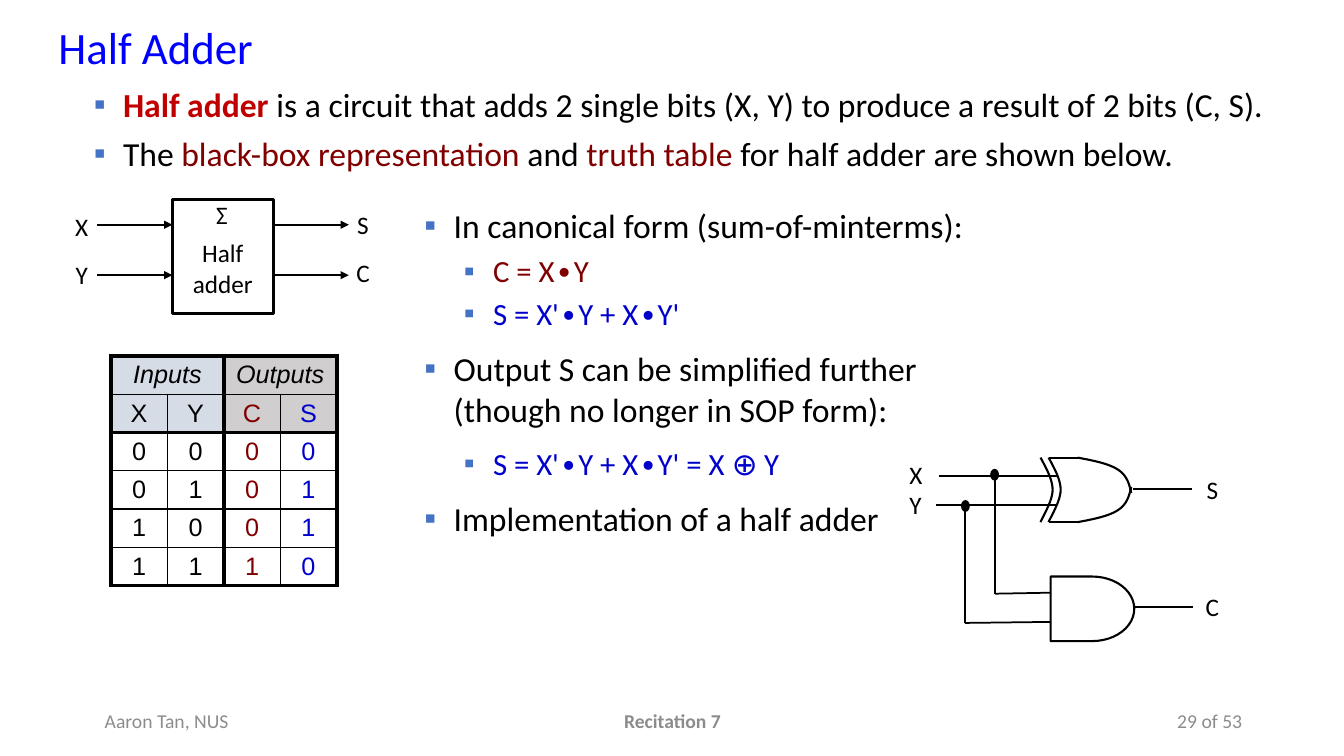
"""Build the Half Adder slide: definition, black box, truth table and gate circuit."""
from lxml.etree import SubElement
from pptx import Presentation
from pptx.dml.color import RGBColor
from pptx.enum.shapes import MSO_CONNECTOR, MSO_SHAPE
from pptx.enum.text import MSO_ANCHOR, MSO_AUTO_SIZE, PP_ALIGN
from pptx.oxml.ns import qn
from pptx.util import Inches, Pt

BLACK, GREY, BLUE, MAROON, RED = "000000", "8C8C8C", "0000CC", "800000", "C00000"
LEFT, CENTER, RIGHT = PP_ALIGN.LEFT, PP_ALIGN.CENTER, PP_ALIGN.RIGHT

TITLE = "Half Adder"
INTRO = [
    (0, 0, [("Half adder ", RED, True),
            ("is a circuit that adds 2 single bits (X, Y) to produce a result of 2 bits (C, S).",
             BLACK, False)]),
    (0, 0, [("The ", BLACK, False), ("black-box representation", MAROON, False),
            (" and ", BLACK, False), ("truth table", MAROON, False),
            (" for half adder are shown below.", BLACK, False)]),
]
FORMULAS = [
    (0, 0, [("In canonical form (sum-of-minterms):", BLACK, False)]),
    (1, 5, [("C = X∙Y", MAROON, False)]),
    (1, 4, [("S = X'∙Y + X∙Y'", BLUE, False)]),
    (0, 12, [("Output S can be simplified further (though no longer in SOP form):", BLACK, False)]),
    (1, 11, [("S = X'∙Y + X∙Y' = X ⊕ Y", BLUE, False)]),
    (0, 12, [("Implementation of a half adder", BLACK, False)]),
]
TRUTH_TABLE = [
    ["Inputs", "", "Outputs", ""],
    ["X", "Y", "C", "S"],
    ["0", "0", "0", "0"],
    ["0", "1", "0", "1"],
    ["1", "0", "0", "1"],
    ["1", "1", "1", "0"],
]
COLUMN_COLORS = [BLACK, BLACK, MAROON, BLUE]
HEADER_FILLS = ["D6DCE5", "D6DCE5", "D0CECE", "D0CECE"]
THICK_COLS, THICK_ROWS = (0, 2, 4), (0, 2, 6)

FOOTER = [
    ("Aaron Tan, NUS", 0.94, 3, LEFT, False),
    ("Recitation 7", 4.42, 4.5, CENTER, True),
    ("29 of 53", 9.42, 3, RIGHT, False),
]
BLOCK_LABELS = [
    ("Half adder", 1.71, 2.31, 1, 0.74),
    ("Σ", 1.88, 1.93, 0.64, 0.44),
    ("X", 0.6, 2.05, 0.42, 0.4),
    ("Y", 0.6, 2.52, 0.42, 0.4),
    ("S", 3.39, 2.03, 0.42, 0.4),
    ("C", 3.39, 2.5, 0.42, 0.4),
]
CIRCUIT_LABELS = [
    ("X\nY", 8.92, 4.51, 0.4, 0.55),
    ("S", 11.87, 4.66, 0.4, 0.35),
    ("C", 11.86, 5.82, 0.4, 0.35),
]
WIRES = [
    (9.31, 4.72, 10.48, 4.72), (9.28, 5.01, 10.48, 5.01), (11.24, 4.85, 11.82, 4.85),
    (9.87, 4.72, 9.87, 5.89), (9.87, 5.89, 10.42, 5.88),
    (9.57, 5.01, 9.57, 6.18), (9.57, 6.18, 10.42, 6.17), (11.25, 6.02, 11.83, 6.02),
]
JUNCTIONS = [(9.54, 4.97), (9.83, 4.66)]
XOR_TOP, XOR_BOTTOM, XOR_BACK, XOR_SHOULDER = 4.54, 5.18, 10.4, 10.69
XOR_BACK_CURVE = [(0, 4.54), (0.06, 4.65), (0.12, 4.76), (0.12, 4.86),
                  (0.12, 4.97), (0.02, 5.13), (0, 5.18)]
XOR_NOSE_CURVE = [(10.69, 4.54), (10.85, 4.57), (11, 4.6), (11.09, 4.66),
                  (11.18, 4.72), (11.2, 4.8), (11.22, 4.89)]


def rgb(hex_color):
    return RGBColor.from_string(hex_color)


def style(font, size, color=BLACK, bold=False, italic=False, name="Calibri"):
    font.name, font.size, font.bold, font.italic = name, Pt(size), bold, italic
    font.color.rgb = rgb(color)


def place(sp, x, y, w, h):
    sp.left, sp.top, sp.width, sp.height = (Inches(v) for v in (x, y, w, h))


def add_label(text, x, y, w, h, align=CENTER, size=18, color=BLACK, bold=False,
              anchor=MSO_ANCHOR.TOP):
    tf = slide.shapes.add_textbox(*(Inches(v) for v in (x, y, w, h))).text_frame
    tf.word_wrap, tf.vertical_anchor = True, anchor
    tf.text = text
    for p in tf.paragraphs:
        p.alignment = align
        style(p.runs[0].font, size, color, bold)


def fill_bullets(sp, items, after=0):
    tf = sp.text_frame
    tf.auto_size = MSO_AUTO_SIZE.NONE
    for i, (level, before, pieces) in enumerate(items):
        p = tf.paragraphs[0] if i == 0 else tf.add_paragraph()
        p.level, p.alignment = level, LEFT
        p.space_before, p.space_after = Pt(before), Pt(after)
        pPr = p._p.get_or_add_pPr()
        pPr.set("marL", str(Inches((0.29, 0.68)[level])))
        pPr.set("indent", str(Inches(-0.29)))
        SubElement(SubElement(pPr, qn("a:buClr")), qn("a:srgbClr"), val="4472C4")
        SubElement(pPr, qn("a:buChar"), char="▪")
        for text, color, bold in pieces:
            r = p.add_run()
            r.text = text
            style(r.font, (24, 22)[level], color, bold)


def add_line(x1, y1, x2, y2, width, arrow=False):
    line = slide.shapes.add_connector(MSO_CONNECTOR.STRAIGHT,
                                      *(Inches(v) for v in (x1, y1, x2, y2)))
    line.line.color.rgb, line.line.width = rgb(BLACK), Pt(width)
    if arrow:
        SubElement(line.line._get_or_add_ln(), qn("a:tailEnd"), type="triangle")
    SubElement(line._element.spPr, qn("a:effectLst"))


def outline(sp, width, fill=None):
    sp.shadow.inherit = False
    sp.line.color.rgb, sp.line.width = rgb(BLACK), Pt(width)
    if fill:
        sp.fill.solid()
        sp.fill.fore_color.rgb = rgb(fill)
    else:
        sp.fill.background()


def add_shape(kind, x, y, w, h, width, fill=None):
    outline(slide.shapes.add_shape(kind, *(Inches(v) for v in (x, y, w, h))), width, fill)


def add_curve(controls, steps=12):
    points = [controls[0]]
    for k in range(0, len(controls) - 1, 3):
        a, b, c, d = controls[k:k + 4]
        for t in (n / steps for n in range(1, steps + 1)):
            u = 1 - t
            points.append(tuple(u**3 * a[m] + 3 * u * u * t * b[m] + 3 * u * t * t * c[m]
                                + t**3 * d[m] for m in (0, 1)))
    points = [(Inches(x), Inches(y)) for x, y in points]
    builder = slide.shapes.build_freeform(*points[0])
    builder.add_line_segments(points[1:], close=False)
    outline(builder.convert_to_shape(), 1.5)


def set_borders(cell, row, col):
    left, right = (col // 2 * 2, col // 2 * 2 + 2) if row == 0 else (col, col + 1)
    sides = [("L", left in THICK_COLS), ("R", right in THICK_COLS),
             ("T", row in THICK_ROWS), ("B", row + 1 in THICK_ROWS)]
    tcPr = cell._tc.get_or_add_tcPr()
    for side, thick in sides:
        ln = SubElement(tcPr, qn(f"a:ln{side}"), w=str(Pt(3 if thick else 1)))
        SubElement(SubElement(ln, qn("a:solidFill")), qn("a:srgbClr"), val=BLACK)


def add_truth_table():
    table = slide.shapes.add_table(6, 4, Inches(1.1), Inches(3.53),
                                   Inches(2.24), Inches(2.28)).table
    table.first_row = table.horz_banding = False
    for row in table.rows:
        row.height = Inches(0.38)
    for col in (0, 2):
        table.cell(0, col).merge(table.cell(0, col + 1))
    for i, values in enumerate(TRUTH_TABLE):
        for j, value in enumerate(values):
            cell = table.cell(i, j)
            cell.margin_left = cell.margin_right = Inches(0.05)
            cell.margin_top = cell.margin_bottom = Inches(0.03)
            cell.vertical_anchor = MSO_ANCHOR.MIDDLE
            set_borders(cell, i, j)
            if i < 2:
                cell.fill.solid()
                cell.fill.fore_color.rgb = rgb(HEADER_FILLS[j])
            else:
                cell.fill.background()
            if value:
                cell.text = value
                p = cell.text_frame.paragraphs[0]
                p.alignment = CENTER
                style(p.runs[0].font, 18, COLUMN_COLORS[j] if i else BLACK,
                      italic=i == 0, name="Arial")


prs = Presentation()
prs.slide_width, prs.slide_height = Inches(13.33), Inches(7.5)
slide = prs.slides.add_slide(prs.slide_layouts[3])
title, intro, formulas = slide.placeholders

place(title, 0.48, 0.15, 2.66, 0.76)
tf = title.text_frame
tf.text, tf.vertical_anchor = TITLE, MSO_ANCHOR.TOP
tf.paragraphs[0].alignment = LEFT
style(tf.paragraphs[0].runs[0].font, 32, "0000FF")

place(intro, 0.83, 0.78, 12.03, 1.15)
fill_bullets(intro, INTRO, after=6)
place(formulas, 4.11, 1.98, 6.22, 3.79)
formulas.text_frame.margin_right = Inches(0.6)
fill_bullets(formulas, FORMULAS)
add_truth_table()

add_shape(MSO_SHAPE.RECTANGLE, 1.71, 1.98, 1, 1.13, 2)
for x in (0.96, 2.71):
    for y in (2.23, 2.73):
        add_line(x, y, x + 0.75, y, 1.5, arrow=True)
for label in BLOCK_LABELS:
    add_label(*label)

add_shape(MSO_SHAPE.FLOWCHART_DELAY, 10.42, 5.72, 0.83, 0.64, 1.5)
for wire in WIRES:
    add_line(*wire, 1.25)
for x, y in JUNCTIONS:
    add_shape(MSO_SHAPE.OVAL, x, y, 0.07, 0.1, 1.25, BLACK)
for back in (XOR_BACK, XOR_BACK - 0.08):
    add_curve([(back + dx, y) for dx, y in XOR_BACK_CURVE])
for y in (XOR_TOP, XOR_BOTTOM):
    add_line(XOR_BACK, y, XOR_SHOULDER, y, 1.5)
add_curve(XOR_NOSE_CURVE)
add_curve([(x, XOR_TOP + XOR_BOTTOM - y) for x, y in XOR_NOSE_CURVE])
for label in CIRCUIT_LABELS:
    add_label(*label, align=LEFT)

for text, x, w, align, bold in FOOTER:
    add_label(text, x, 6.95, w, 0.4, align, 14, GREY, bold, MSO_ANCHOR.MIDDLE)

prs.save("out.pptx")
